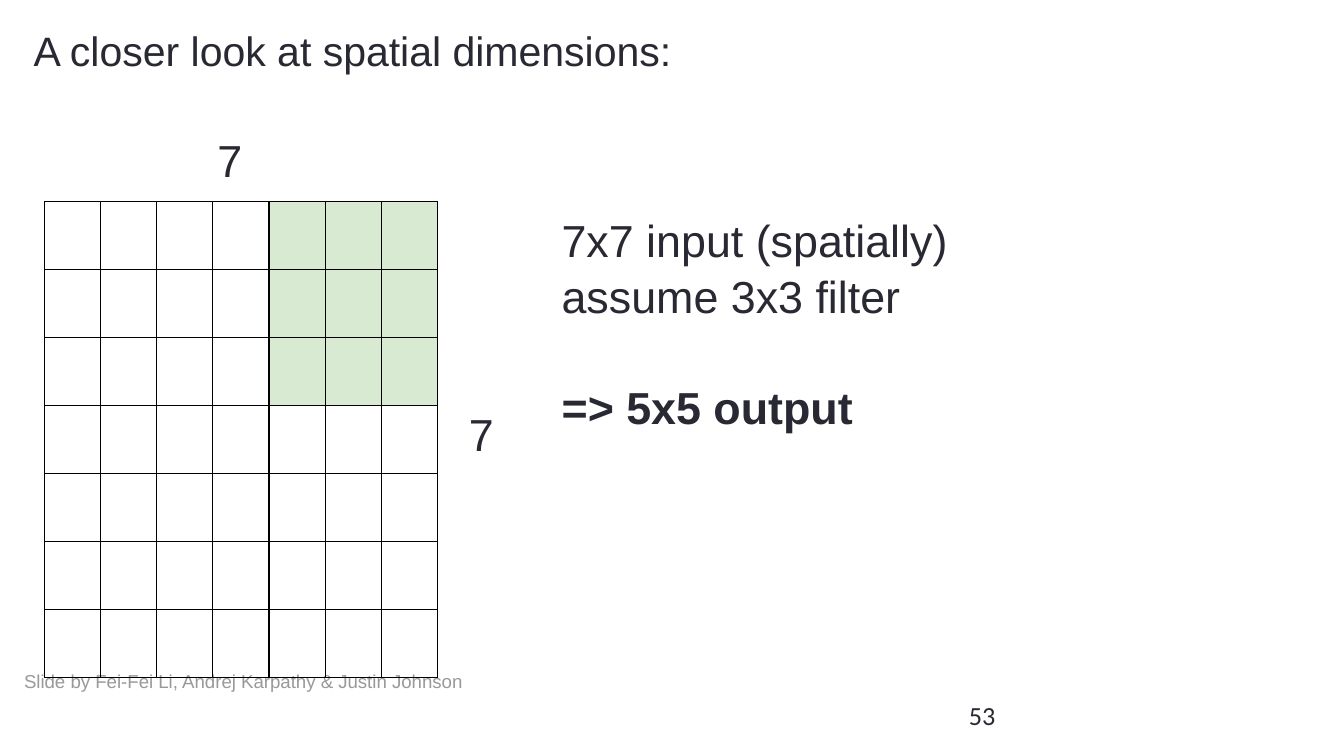
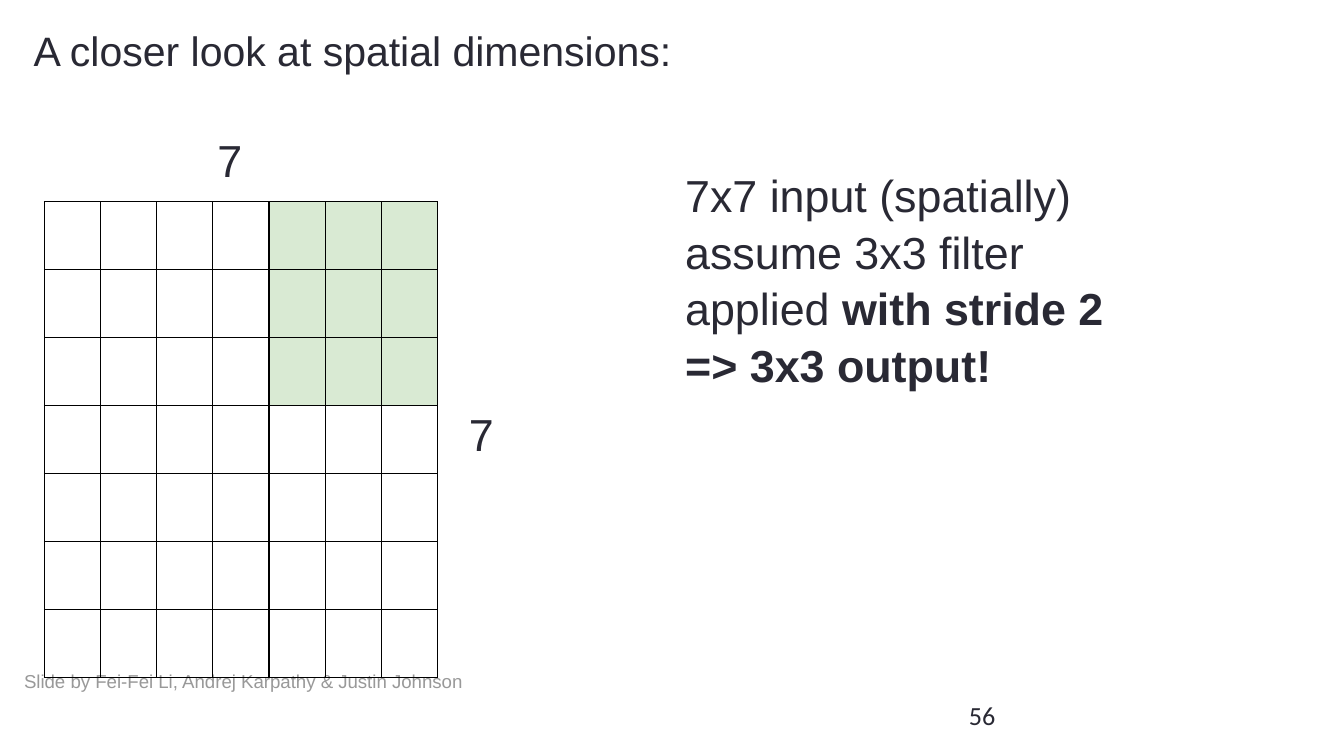
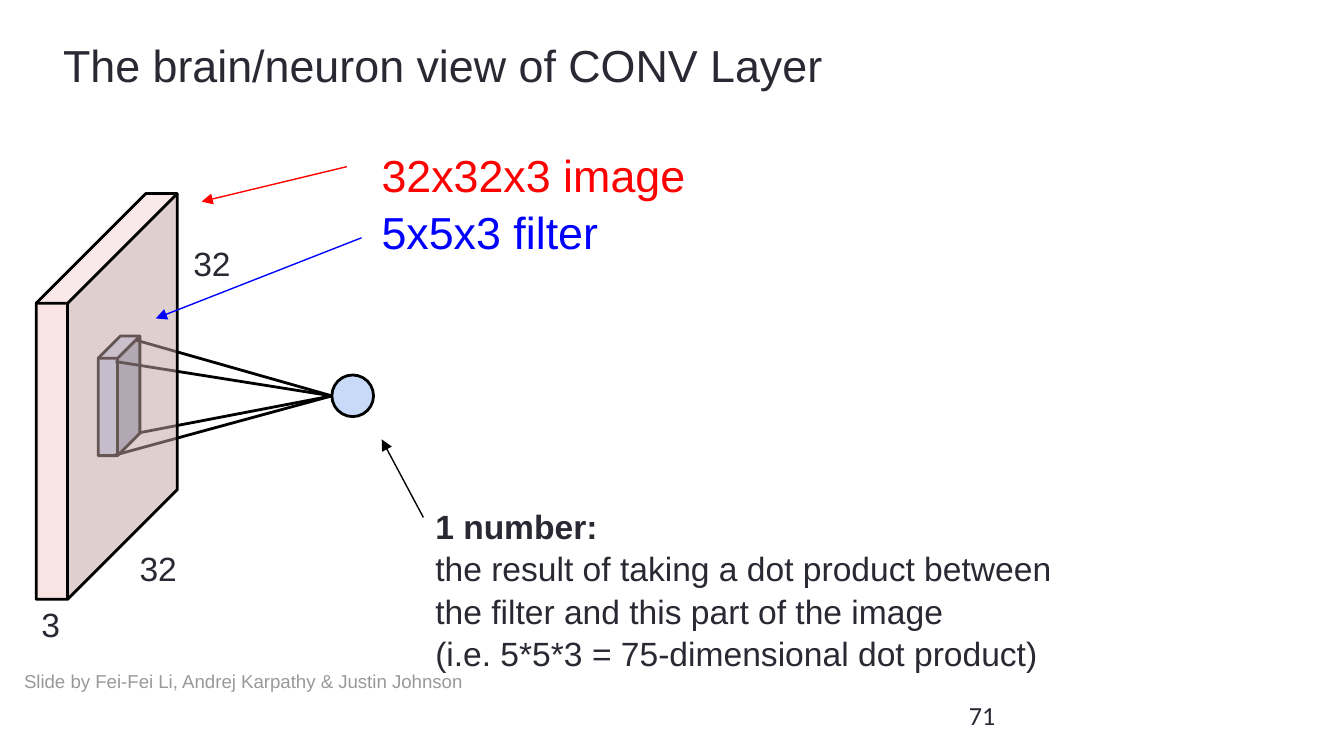
from dataclasses import dataclass

from lxml import etree
from pptx import Presentation
from pptx.dml.color import RGBColor
from pptx.enum.shapes import MSO_CONNECTOR, MSO_SHAPE
from pptx.enum.text import MSO_ANCHOR, MSO_AUTO_SIZE, PP_ALIGN
from pptx.oxml.ns import qn
from pptx.util import Pt

CUBE, OVAL = MSO_SHAPE.CUBE, MSO_SHAPE.OVAL
STRAIGHT = MSO_CONNECTOR.STRAIGHT
TOP, MIDDLE = MSO_ANCHOR.TOP, MSO_ANCHOR.MIDDLE
FIXED = MSO_AUTO_SIZE.NONE
LEFT = PP_ALIGN.LEFT
TITLE_ONLY = 5


@dataclass(frozen=True)
class Theme:
    """Colours, fonts and sizes that the slides share."""
    ink: str = "292934"
    grey: str = "999999"
    black: str = "000000"
    white: str = "FFFFFF"
    green: str = "D9EAD3"
    pink: str = "F4CCCC"
    sky: str = "C9DAF8"
    red: str = "FF0000"
    blue: str = "0000FF"
    font: str = "Arial"
    digit: str = "Calibri"
    head: int = 24
    title: int = 22
    body: int = 18
    page: int = 14
    note: int = 10
    inset: float = 7.2
    lead: float = 1.05
    thick: float = 1.5
    thin: float = 0.75


THEME = Theme()
GRID = 7
FILTER = 3
COL, ROW = 30.1, 36.4


def rgb(code):
    """Turn a hex code into a colour."""
    return RGBColor.from_string(code)


def write(frame, text, size=THEME.head, color=THEME.ink, bold=False,
          font=THEME.font, gap=0, join=False):
    """Add text as a new paragraph, or join it to the last one."""
    para = frame.paragraphs[-1]
    if para.runs and not join:
        para = frame.add_paragraph()
    if not join:
        para.alignment = LEFT
        para.line_spacing = THEME.lead
        para.space_before = Pt(gap)
    run = para.add_run()
    run.text = text
    run.font.size = Pt(size)
    run.font.name = font
    run.font.bold = bold
    run.font.color.rgb = rgb(color)


def setup(frame, anchor=TOP):
    """Give a text frame the shared wrap, anchor and insets."""
    frame.word_wrap = True
    frame.auto_size = FIXED
    frame.vertical_anchor = anchor
    frame.margin_left = frame.margin_right = Pt(THEME.inset)
    frame.margin_top = frame.margin_bottom = Pt(THEME.inset)
    return frame


def box(slide, area, anchor=TOP):
    """Add an empty text box and return its frame."""
    shape = slide.shapes.add_textbox(*map(Pt, area))
    return setup(shape.text_frame, anchor)


def start(deck, title, area, size, page):
    """Add a slide with its title, credit and page number."""
    slide = deck.slides.add_slide(deck.slide_layouts[TITLE_ONLY])
    head = slide.shapes.title
    head.left, head.top, head.width, head.height = map(Pt, area)
    write(setup(head.text_frame), title, size=size)
    write(box(slide, (5.8, 349.2, 260, 30.2), MIDDLE),
          "Slide by Fei-Fei Li, Andrej Karpathy & Justin Johnson",
          size=THEME.note, color=THEME.grey)
    write(box(slide, (512, 367.2, 43.2, 31), MIDDLE), str(page),
          size=THEME.page, font=THEME.digit)
    return slide


def border(cell):
    """Draw a thin black line on all sides of a cell."""
    props = cell._tc.get_or_add_tcPr()
    for spot, side in enumerate(("a:lnL", "a:lnR", "a:lnT", "a:lnB")):
        line = etree.Element(qn(side), w=str(Pt(THEME.thin)))
        fill = etree.SubElement(line, qn("a:solidFill"))
        etree.SubElement(fill, qn("a:srgbClr"), val=THEME.black)
        props.insert(spot, line)


def grid(slide):
    """Add the input grid with the filter in its top right corner."""
    table = slide.shapes.add_table(
        GRID, GRID, Pt(23.8), Pt(108), Pt(GRID * COL), Pt(GRID * ROW)).table
    table.first_row = table.horz_banding = False
    for col in table.columns:
        col.width = Pt(COL)
    for y, row in enumerate(table.rows):
        row.height = Pt(ROW)
        for x, cell in enumerate(row.cells):
            if y < FILTER:
                cell.fill.solid()
                inside = x >= GRID - FILTER
                cell.fill.fore_color.rgb = rgb(THEME.green if inside else THEME.white)
            else:
                cell.fill.background()
            border(cell)


def spatial(deck, page):
    """Add a slide with the input grid and its side lengths."""
    slide = start(deck, "A closer look at spatial dimensions:",
                  (10.8, 5, 659.5, 47.5), THEME.title, page)
    for area in ((109.4, 62.6, 43.2, 36), (244.1, 209.5, 46, 22.3)):
        write(box(slide, area), str(GRID))
    grid(slide)
    return slide


def solid(slide, kind, area, color, depth=None, alpha=None):
    """Add an outlined shape, with a cube depth or opacity if given."""
    shape = slide.shapes.add_shape(kind, *map(Pt, area))
    shape.shadow.inherit = False
    shape.fill.solid()
    shape.fill.fore_color.rgb = rgb(color)
    shape.line.color.rgb = rgb(THEME.black)
    shape.line.width = Pt(THEME.thick)
    if depth is not None:
        shape.adjustments[0] = depth
    if alpha is not None:
        tint = shape._element.spPr.find(qn("a:solidFill"))[0]
        etree.SubElement(tint, qn("a:alpha"), val=str(alpha * 1000))


def link(slide, tail, tip, color=THEME.black, width=THEME.thick, arrow=False):
    """Add a straight line, with an arrowhead at its tip if asked."""
    line = slide.shapes.add_connector(STRAIGHT, *map(Pt, (*tail, *tip)))
    line.line.color.rgb = rgb(color)
    line.line.width = Pt(width)
    props = line._element.spPr
    if arrow:
        etree.SubElement(props.find(qn("a:ln")), qn("a:tailEnd"), type="triangle")
    etree.SubElement(props, qn("a:effectLst"))


def plain(deck):
    """Build the slide on the filter moved by one."""
    slide = spatial(deck, 53)
    frame = box(slide, (293.8, 105.1, 403.2, 144.7))
    write(frame, "7x7 input (spatially)")
    write(frame, "assume 3x3 filter")
    write(frame, "=> 5x5 output", bold=True, gap=29)


def stride(deck):
    """Build the slide on the filter moved by two."""
    slide = spatial(deck, 56)
    frame = box(slide, (360, 81.4, 403.2, 144.7))
    write(frame, "7x7 input (spatially)")
    write(frame, "assume 3x3 filter")
    write(frame, "applied ")
    write(frame, "with stride 2", bold=True, join=True)
    write(frame, "=> 3x3 output!", bold=True)


def neuron(deck):
    """Build the slide on one neuron of the layer."""
    slide = start(deck, "The brain/neuron view of CONV Layer",
                  (26.6, 11.5, 655.2, 72), THEME.head, 71)
    solid(slide, CUBE, (52.6, 180, 22.3, 64.1), THEME.sky, depth=0.534)
    solid(slide, OVAL, (177.8, 200.9, 22.3, 22.3), THEME.sky)
    for corner in ((60.5, 244.1), (61.9, 193.7), (72.7, 182.2), (74.9, 231.8)):
        link(slide, corner, (177.8, 212.1))
    for text, area in (("32", (67.7, 285.1, 38.9, 24.5)),
                       ("32", (96.5, 121.7, 38.9, 22.3)),
                       ("3", (15.1, 315.4, 38.9, 14.4))):
        write(box(slide, area), text, size=THEME.body)
    solid(slide, CUBE, (19.4, 103.7, 75.6, 217.4), THEME.pink,
          depth=0.777, alpha=52)

    names = box(slide, (197.3, 70.6, 286.6, 43.2))
    write(names, "32x32x3 image", color=THEME.red)
    write(names, "5x5x3 filter", color=THEME.blue)
    for tail, tip, color in (((185.8, 89.3), (108, 108), THEME.red),
                             ((193.7, 127.4), (83.5, 170.6), THEME.blue),
                             ((226.8, 277.2), (204.5, 235.4), THEME.black)):
        link(slide, tail, tip, color, THEME.thin, arrow=True)

    result = box(slide, (226.1, 262.8, 361.4, 83.5))
    write(result, "1 number:", size=THEME.body, bold=True)
    write(result, "the result of taking a dot product between the filter "
          "and this part of the image", size=THEME.body)
    write(result, "(i.e. 5*5*3 = 75-dimensional dot product)", size=THEME.body)


def main():
    """Build and save the deck."""
    deck = Presentation()
    deck.slide_width, deck.slide_height = Pt(720), Pt(405)
    plain(deck)
    stride(deck)
    neuron(deck)
    deck.save("out.pptx")


if __name__ == "__main__":
    main()
